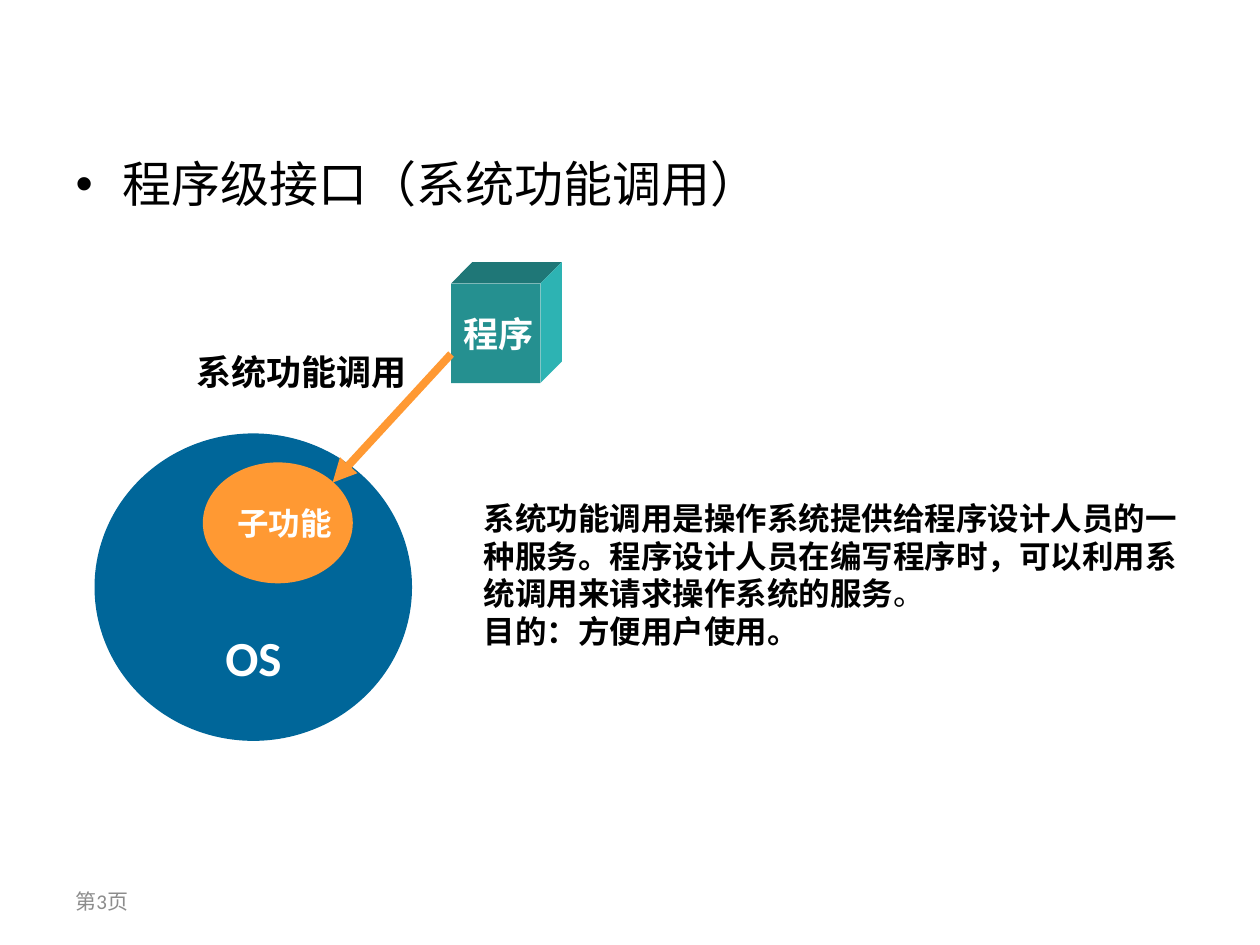
"""Build a slide that explains the program-level interface of an operating system."""
from dataclasses import dataclass

from lxml import etree
from pptx import Presentation
from pptx import util as u
from pptx.dml import color
from pptx.enum import shapes, text
from pptx.oxml import ns


@dataclass(frozen=True)
class Theme:
    font: str = "Calibri"
    black: str = "000000"
    white: str = "FFFFFF"
    grey: str = "8C8C8C"
    blue: str = "006699"
    orange: str = "FF9933"
    cube_front: str = "259090"
    cube_top: str = "1F7777"
    cube_side: str = "2DB3B3"
    heading: int = 28
    label: int = 20
    body: int = 18
    small: int = 12
    arrow: float = 4.5


T = Theme()


def rgb(value):
    return color.RGBColor.from_string(value)


def inches(*values):
    return [u.Inches(v) for v in values]


def add_run(p, content, size, colour, bold=False):
    r = p.add_run()
    r.text = content
    formats = {"name": T.font, "size": u.Pt(size), "bold": bold}
    for name, value in formats.items():
        setattr(r.font, name, value)
    r.font.color.rgb = rgb(colour)


def set_frame(tf, wrap=False, anchor=text.MSO_ANCHOR.TOP):
    formats = {"word_wrap": wrap, "vertical_anchor": anchor,
               "auto_size": text.MSO_AUTO_SIZE.NONE}
    for name, value in formats.items():
        setattr(tf, name, value)
    tf.paragraphs[0].alignment = text.PP_ALIGN.LEFT


def add_label(s, box, content, size, colour, bold=True, **frame):
    tf = s.shapes.add_textbox(*inches(*box)).text_frame
    set_frame(tf, **frame)
    add_run(tf.paragraphs[0], content, size, colour, bold)
    return tf


def paint(sp, fill):
    sp.shadow.inherit = False
    sp.fill.solid()
    sp.fill.fore_color.rgb = rgb(fill)
    sp.line.fill.background()


def add_block(s, kind, box, fill, content="", size=T.body):
    sp = s.shapes.add_shape(kind, *inches(*box))
    paint(sp, fill)
    if content:
        set_frame(sp.text_frame, anchor=text.MSO_ANCHOR.MIDDLE)
        add_run(sp.text_frame.paragraphs[0], content, size, T.white, True)


def add_face(s, points, fill):
    start, *rest = [inches(*point) for point in points]
    builder = s.shapes.build_freeform(*start)
    builder.add_line_segments(rest, close=True)
    paint(builder.convert_to_shape(), fill)


def add_cube(s, box, depth, content):
    left, top, width, height = box
    right, bottom = left + width, top + height
    back_top, back_right = top - depth, right + depth
    add_face(s, [(left, top), (left + depth, back_top),
                 (back_right, back_top), (right, top)], T.cube_top)
    add_face(s, [(right, top), (back_right, back_top),
                 (back_right, bottom - depth), (right, bottom)], T.cube_side)
    add_block(s, shapes.MSO_SHAPE.RECTANGLE, box, T.cube_front, content, T.label)


def add_arrow(s, start, end, colour):
    sp = s.shapes.add_connector(shapes.MSO_CONNECTOR.STRAIGHT, *inches(*start, *end))
    sp.line.color.rgb = rgb(colour)
    sp.line.width = u.Pt(T.arrow)
    etree.SubElement(sp.line._get_or_add_ln(), ns.qn("a:tailEnd"), type="triangle")
    etree.SubElement(sp._element.spPr, ns.qn("a:effectLst"))


def fill_body(s, box, content):
    sp = s.placeholders[1]
    for name, value in zip(("left", "top", "width", "height"), inches(*box)):
        setattr(sp, name, value)
    add_run(sp.text_frame.paragraphs[0], content, T.heading, T.black)


def add_explanation(s, box):
    tf = add_label(
        s, box,
        "系统功能调用是操作系统提供给程序设计人员的一种服务。"
        "程序设计人员在编写程序时，可以利用系统调用来请求操作系统的服务",
        T.body, T.black, wrap=True)
    add_run(tf.paragraphs[0], "。", T.body, T.black)
    add_run(tf.add_paragraph(), "目的：方便用户使用。", T.body, T.black, True)


def main():
    prs = Presentation()
    prs.slide_width, prs.slide_height = inches(10, 7.5)
    s = prs.slides.add_slide(prs.slide_layouts[1])
    title = s.shapes.title._element
    title.getparent().remove(title)

    add_label(s, (0.5, 6.95, 2.33, 0.4), "第3页", T.small, T.grey, bold=False,
              wrap=True, anchor=text.MSO_ANCHOR.MIDDLE)
    fill_body(s, (0.5, 1.17, 9, 5.53), "程序级接口（系统功能调用）")

    oval = shapes.MSO_SHAPE.OVAL
    add_block(s, oval, (0.75, 3.44, 2.52, 2.44), T.blue)
    add_block(s, oval, (1.61, 3.67, 1.19, 0.96), T.orange, "子功能")
    add_label(s, (1.69, 4.93, 0.72, 0.57), "OS", T.heading, T.white)
    add_explanation(s, (3.74, 3.91, 5.91, 2.1))
    add_cube(s, (3.58, 2.25, 0.71, 0.79), 0.17, "程序")
    add_arrow(s, (3.58, 2.81), (2.64, 3.83), T.orange)
    add_label(s, (1.46, 2.73, 1.88, 0.43), "系统功能调用", T.label, T.black)

    prs.save("out.pptx")


if __name__ == "__main__":
    main()
